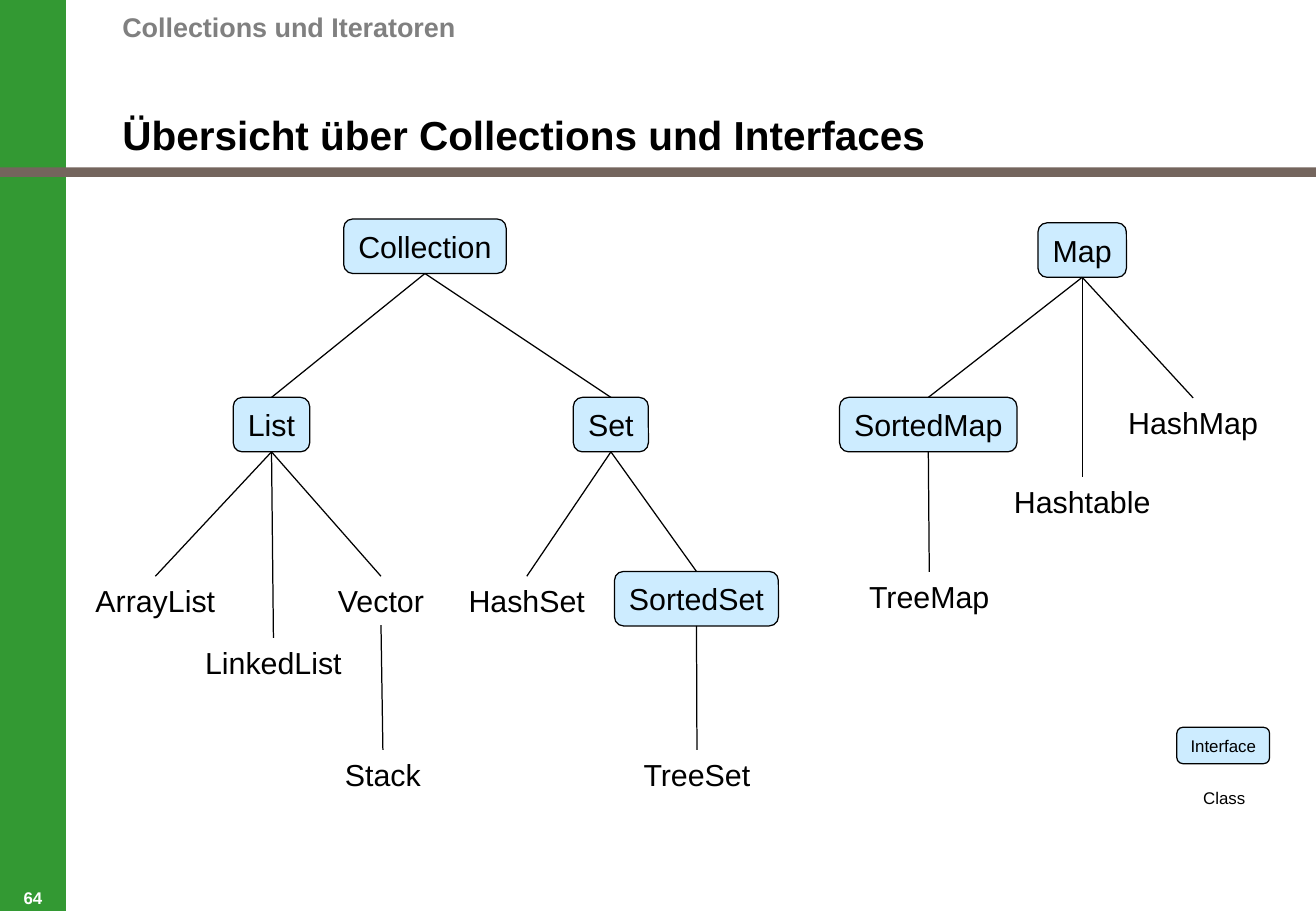
from pptx import Presentation
from pptx.dml.color import RGBColor
from pptx.enum.shapes import MSO_CONNECTOR, MSO_SHAPE
from pptx.enum.text import MSO_ANCHOR, PP_ALIGN
from pptx.oxml.ns import qn
from pptx.util import Cm, Pt
from lxml import etree

WIDTH, HEIGHT = 27.53, 19.05
BAR_WIDTH = 1.38

# name: (is interface, parent, centre x, top, width), in cm within the tree
COLLECTION_TREE = {
    "Collection": (True, None, 7.14, 0, 3.4),
    "List": (True, "Collection", 3.93, 3.73, 1.6),
    "Set": (True, "Collection", 11.03, 3.73, 1.57),
    "ArrayList": (False, "List", 1.5, 7.47, 3),
    "LinkedList": (False, "List", 3.97, 8.76, 3.35),
    "Vector": (False, "List", 6.22, 7.47, 2.34),
    "Stack": (False, "Vector", 6.26, 11.1, 2.08),
    "HashSet": (False, "Set", 9.27, 7.47, 2.95),
    "SortedSet": (True, "Set", 12.82, 7.37, 3.43),
    "TreeSet": (False, "SortedSet", 12.83, 11.1, 2.77),
}
MAP_TREE = {
    "Map": (True, None, 5.09, 0, 1.85),
    "SortedMap": (True, "Map", 1.87, 3.65, 3.71),
    "HashMap": (False, "Map", 7.41, 3.66, 3.23),
    "Hashtable": (False, "Map", 5.09, 5.31, 3.35),
    "TreeMap": (False, "SortedMap", 1.89, 7.3, 3.05),
}


def rgb(color):
    return RGBColor.from_string(color)


def write(sp, text, size=18, color="000000", bold=False, align=PP_ALIGN.CENTER,
          anchor=MSO_ANCHOR.MIDDLE, margins=(0.1, 0.13), wrap=False):
    tf = sp.text_frame
    tf.word_wrap = wrap
    tf.vertical_anchor = anchor
    tf.margin_left = tf.margin_right = Cm(margins[0])
    tf.margin_top = tf.margin_bottom = Cm(margins[1])
    p = tf.paragraphs[0]
    p.alignment = align
    r = p.add_run()
    r.text = text
    r.font.name, r.font.size, r.font.bold = "Arial", Pt(size), bold
    r.font.color.rgb = rgb(color)


def add_box(s, kind, left, top, width, height, fill, line=None):
    sp = s.shapes.add_shape(kind, Cm(left), Cm(top), Cm(width), Cm(height))
    sp.shadow.inherit = False
    sp.fill.solid()
    sp.fill.fore_color.rgb = rgb(fill)
    if line:
        sp.line.color.rgb = rgb(line)
        sp.line.width = Pt(0.75)
    else:
        sp.line.fill.background()
    return sp


def add_label(s, text, left, top, width, height, **fmt):
    sp = s.shapes.add_textbox(Cm(left), Cm(top), Cm(width), Cm(height))
    write(sp, text, **fmt)
    return sp


def add_node(s, name, is_interface, center, top, width, height, size=18):
    left = center - width / 2
    if not is_interface:
        return add_label(s, name, left, top, width, height, size=size)
    sp = add_box(s, MSO_SHAPE.ROUNDED_RECTANGLE, left, top, width, height,
                 "CDECFF", "000000")
    write(sp, name, size=size)
    return sp


def add_edge(s, child, parent):
    c = s.shapes.add_connector(MSO_CONNECTOR.STRAIGHT, 0, 0, 0, 0)
    c.begin_connect(child, 0)
    c.end_connect(parent, 2)
    c.line.color.rgb = rgb("000000")
    c.line.width = Pt(0.75)
    etree.SubElement(c._element.spPr, qn("a:effectLst"))


def add_frame(s, left, top, width, height):
    # Side bar and rule
    add_box(s, MSO_SHAPE.RECTANGLE, left, top, BAR_WIDTH, height, "339933")
    add_box(s, MSO_SHAPE.RECTANGLE, left, top + 3.5, width, 0.2, "74655D")
    # Page number
    add_label(s, "64", left, top + height - 0.5, BAR_WIDTH, 0.43, size=10,
              color="FFFFFF", bold=True, anchor=MSO_ANCHOR.BOTTOM,
              margins=(0, 0), wrap=True)
    # Chapter and title
    text_left = left + 2.56
    add_label(s, "Collections und Iteratoren", text_left, top + 0.05, 20.96, 1,
              size=16, color="808080", bold=True, align=PP_ALIGN.LEFT,
              margins=(0, 0.13), wrap=True)
    add_label(s, "Übersicht über Collections und Interfaces", text_left,
              top + 1.14, 24.43, 2.18, size=24, bold=True, align=PP_ALIGN.LEFT,
              anchor=MSO_ANCHOR.BOTTOM, margins=(0, 0), wrap=True)


def add_tree(s, left, top, tree):
    nodes = {}
    for name, (is_interface, parent, center, y, width) in tree.items():
        nodes[name] = add_node(s, name, is_interface, left + center, top + y,
                               width, 1.14 if is_interface else 1.02)
        if parent:
            add_edge(s, nodes[name], nodes[parent])


def add_legend(s, left, top, width):
    center = left + width / 2
    add_node(s, "Interface", True, center, top, width, 0.76, size=10)
    add_node(s, "Class", False, center + 0.02, top + 1.12, 1.37, 0.69, size=10)


def main():
    prs = Presentation()
    prs.slide_width, prs.slide_height = Cm(WIDTH), Cm(HEIGHT)
    s = prs.slides.add_slide(prs.slide_layouts[6])
    add_frame(s, 0, 0, WIDTH, HEIGHT)
    add_tree(s, 1.75, 4.58, COLLECTION_TREE)
    add_tree(s, 17.55, 4.66, MAP_TREE)
    add_legend(s, 24.62, 15.21, 1.94)
    prs.save("out.pptx")


if __name__ == "__main__":
    main()
